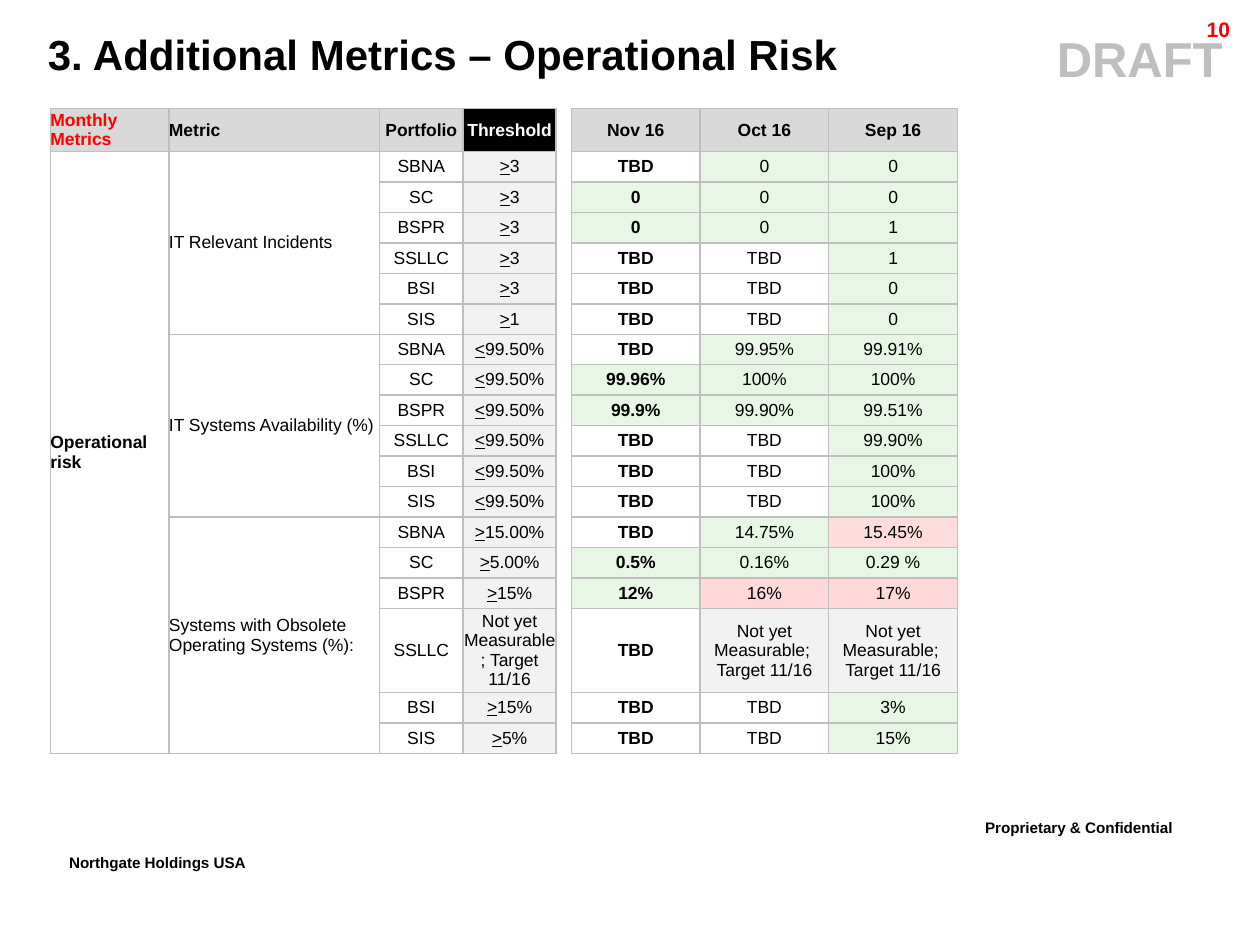
import lxml.etree
import pptx
import pptx.dml.color
import pptx.enum.text
import pptx.util
from pptx.oxml.ns import qn

WIDTH, HEIGHT = 10, 7.5
ALIGN = pptx.enum.text.PP_ALIGN
ANCHOR = pptx.enum.text.MSO_ANCHOR
GRID, HEADER, NEUTRAL, GREEN = "BFBFBF", "D9D9D9", "F2F2F2", "E8F6E6"
HEADINGS = ["Monthly Metrics", "Metric", "Portfolio", "Threshold", "", "Nov 16", "Oct 16", "Sep 16"]
COLUMNS = [0.94, 1.67, 0.66, 0.74, 0.12, 1.02, 1.02, 1.02]
PORTFOLIOS = ["SBNA", "SC", "BSPR", "SSLLC", "BSI", "SIS"]
GAP, NOVEMBER = 4, 5
HEADER_ROW, PENDING_ROW = 0, 16
HEADER_HEIGHT, PENDING_HEIGHT = 0.34, 0.67
PENDING = "Not yet\nMeasurable; \nTarget 11/16"
METRICS = {
    "IT Relevant Incidents": [
        (">3", "TBD", "0", "0"),
        (">3", "0", "0", "0"),
        (">3", "0", "0", "1"),
        (">3", "TBD", "TBD", "1"),
        (">3", "TBD", "TBD", "0"),
        (">1", "TBD", "TBD", "0"),
    ],
    "IT Systems Availability (%)": [
        ("<99.50%", "TBD", "99.95%", "99.91%"),
        ("<99.50%", "99.96%", "100%", "100%"),
        ("<99.50%", "99.9%", "99.90%", "99.51%"),
        ("<99.50%", "TBD", "TBD", "99.90%"),
        ("<99.50%", "TBD", "TBD", "100%"),
        ("<99.50%", "TBD", "TBD", "100%"),
    ],
    "Systems with Obsolete Operating Systems (%):": [
        (">15.00%", "TBD", "14.75%", "15.45%"),
        (">5.00%", "0.5%", "0.16%", "0.29 %"),
        (">15%", "12%", "16%", "17%"),
        ("Not yet Measurable; Target 11/16", "TBD", PENDING, PENDING),
        (">15%", "TBD", "TBD", "3%"),
        (">5%", "TBD", "TBD", "15%"),
    ],
}
BREACHES = {"15.45%": "FFDDDD", "16%": "FFD9D9", "17%": "FFD9D9"}


def colour(value):
    return pptx.dml.color.RGBColor.from_string(value)


def inches(box):
    return [pptx.util.Inches(length) for length in box]


def share(left, top, width, height):
    return left * WIDTH, top * HEIGHT, width * WIDTH, height * HEIGHT


def write(frame, text, size=10, ink="000000", bold=False, align=ALIGN.LEFT,
          spacing=None, baseline=None, indent=None):
    for index, line in enumerate(text.split("\n")):
        paragraph = frame.paragraphs[0] if index == 0 else frame.add_paragraph()
        paragraph.alignment = align
        if spacing:
            paragraph.line_spacing = spacing
        if indent:
            paragraph._p.get_or_add_pPr().set("marL", str(pptx.util.Inches(indent)))
        operator = line[:1] if line[:1] in ("<", ">") else ""
        for part, underlined in ((operator, True), (line[len(operator):], False)):
            if not part:
                continue
            run = paragraph.add_run()
            run.text = part
            run.font.name = "Arial"
            run.font.size = pptx.util.Pt(size)
            run.font.bold = bold
            run.font.underline = underlined
            run.font.color.rgb = colour(ink)
            if baseline:
                run.font._element.set("baseline", str(baseline * 1000))
        if not line:
            paragraph._p.get_or_add_endParaRPr().set("sz", str(size * 100))


def label(slide, box, text, wrap=True, **style):
    frame = slide.shapes.add_textbox(*inches(box)).text_frame
    frame.word_wrap = wrap
    write(frame, text, **style)


def heading(slide, box, text):
    title = slide.shapes.title
    title.left, title.top, title.width, title.height = inches(box)
    title.text_frame.vertical_anchor = ANCHOR.MIDDLE
    write(title.text_frame, text, size=24, bold=True)


def outline(cell, sides):
    properties = cell._tc.get_or_add_tcPr()
    for side in "LRTB":
        line = lxml.etree.SubElement(properties, qn("a:ln" + side), w=str(pptx.util.Pt(1)))
        if side in sides:
            fill = lxml.etree.SubElement(line, qn("a:solidFill"))
            lxml.etree.SubElement(fill, qn("a:srgbClr"), val=GRID)
        else:
            lxml.etree.SubElement(line, qn("a:noFill"))


def cell_fill(row, column, text):
    if column == GAP:
        return None
    if row == HEADER_ROW:
        return "000000" if text == "Threshold" else HEADER
    if text == PENDING or column == GAP - 1:
        return NEUTRAL
    if column < NOVEMBER or text == "TBD":
        return None
    return BREACHES.get(text, GREEN)


def cell_ink(text):
    return {"Monthly Metrics": "FF0000", "Threshold": "FFFFFF"}.get(text, "000000")


def table_rows():
    rows = [HEADINGS]
    for metric, readings in METRICS.items():
        for portfolio, (threshold, *months) in zip(PORTFOLIOS, readings):
            first = portfolio == PORTFOLIOS[0]
            risk = "Operational risk" if len(rows) == 1 else ""
            rows.append([risk, metric if first else "", portfolio, threshold, "", *months])
    return rows


def metrics_table(slide, box):
    rows = table_rows()
    table = slide.shapes.add_table(len(rows), len(COLUMNS), *inches(box)).table
    table.first_row = table.horz_banding = False
    for column, width in zip(table.columns, COLUMNS):
        column.width = pptx.util.Inches(box[2] * width / sum(COLUMNS))
    regular = (box[3] - HEADER_HEIGHT - PENDING_HEIGHT) / (len(rows) - 2)
    special = {HEADER_ROW: HEADER_HEIGHT, PENDING_ROW: PENDING_HEIGHT}
    for r, texts in enumerate(rows):
        table.rows[r].height = pptx.util.Inches(special.get(r, regular))
        for c, text in enumerate(texts):
            cell = table.cell(r, c)
            cell.margin_left = cell.margin_right = cell.margin_top = cell.margin_bottom = 0
            cell.vertical_anchor = ANCHOR.MIDDLE
            outline(cell, "LR" if c == GAP else "LRTB")
            fill = cell_fill(r, c, text)
            if fill:
                cell.fill.solid()
                cell.fill.fore_color.rgb = colour(fill)
            else:
                cell.fill.background()
            write(cell.text_frame, text, ink=cell_ink(text),
                  bold=r == HEADER_ROW or c in (0, NOVEMBER),
                  align=ALIGN.LEFT if c < 2 else ALIGN.CENTER)
    table.cell(1, 0).merge(table.cell(len(rows) - 1, 0))
    group = len(PORTFOLIOS)
    for start in range(1, len(rows), group):
        table.cell(start, 1).merge(table.cell(start + group - 1, 1))


def page_marks(slide):
    label(slide, share(0.772, 0.856, 0.218, 0.047), "Proprietary & Confidential",
          size=15, bold=True, baseline=30)
    label(slide, share(0.045, 0.893, 0.191, 0.047), "Northgate Holdings USA",
          wrap=False, size=15, bold=True, baseline=30)
    label(slide, share(0.115, 0.024, 0.879, 0.076), "DRAFT",
          size=28, ink=GRID, bold=True, align=ALIGN.CENTER, indent=7)
    label(slide, share(0.891, 0.015, 0.095, 0.032), "10",
          size=12, ink="FF0000", bold=True, align=ALIGN.RIGHT, spacing=0.86)


def main():
    deck = pptx.Presentation()
    deck.slide_width, deck.slide_height = inches((WIDTH, HEIGHT))
    slide = deck.slides.add_slide(deck.slide_layouts[5])
    page_marks(slide)
    heading(slide, share(0.028, 0.023, 0.935, 0.067), "3. Additional Metrics – Operational Risk")
    metrics_table(slide, share(0.04, 0.115, 0.72, 0.683))
    deck.save("out.pptx")


if __name__ == "__main__":
    main()
